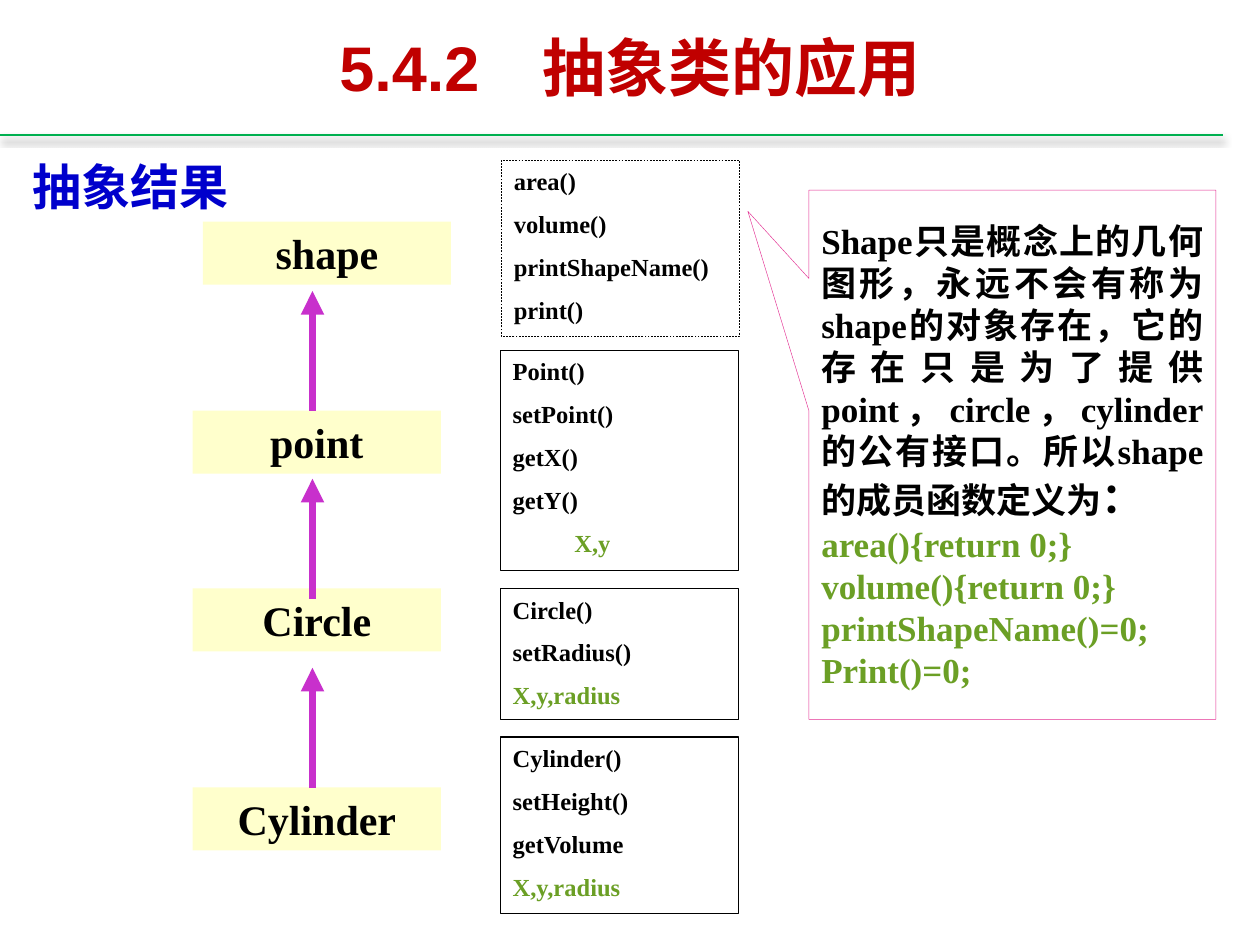
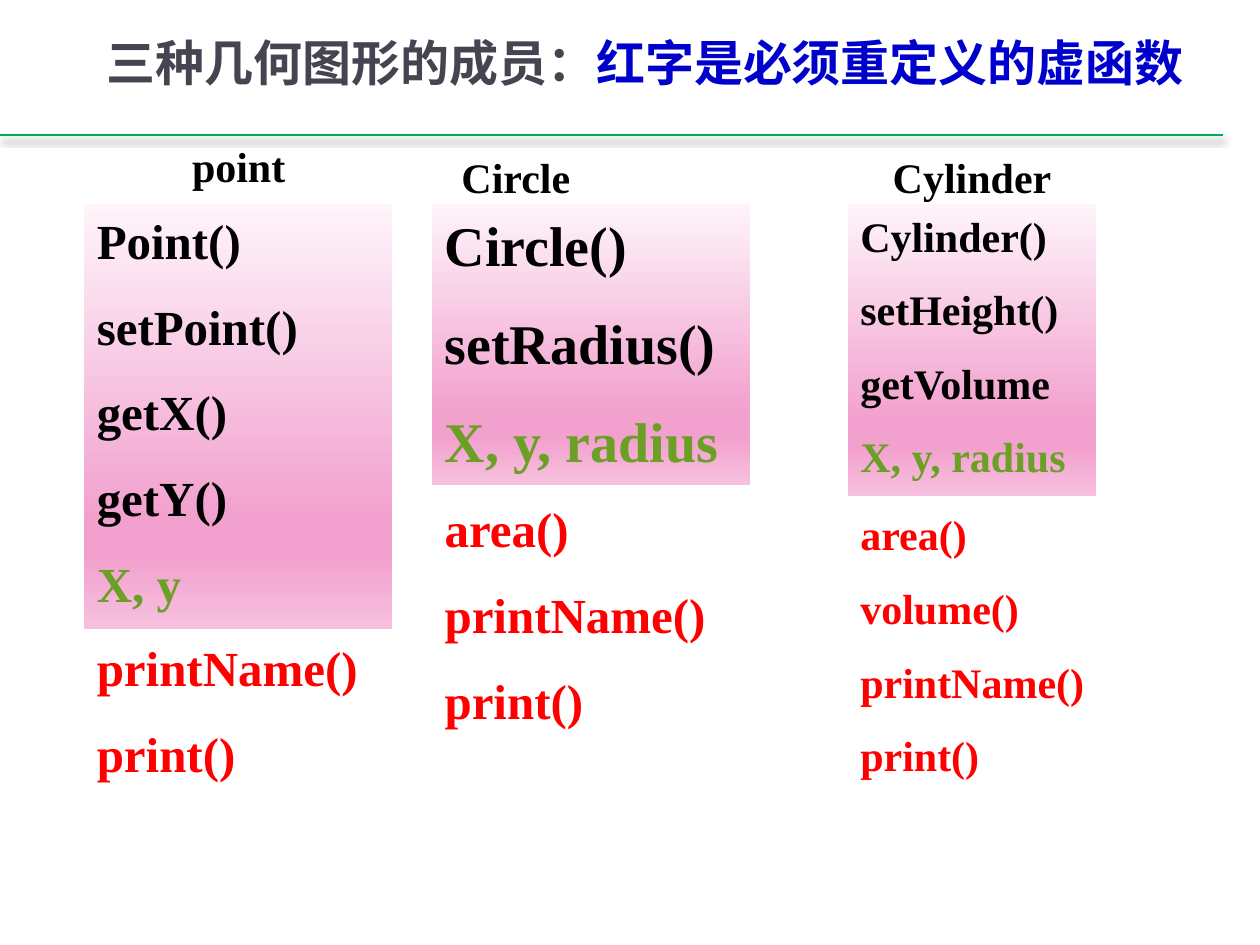
import pptx
import pptx.dml.color
import pptx.enum.dml
import pptx.enum.shapes
import pptx.enum.text
import pptx.oxml
import pptx.oxml.ns
import pptx.util
from pptx.util import Inches

HUES = {
    "black": "000000", "white": "FFFFFF", "red": "FF0000", "title": "C00000",
    "blue": "0000CC", "gray": "454551", "green": "6B9F25", "rule": "00B050",
    "cream": "FFFFCC", "arrow": "C830CC", "pink": "E32D91",
}
BLEND = [(0, "FEF4FA"), (74, "F2A1CE"), (83, "F2A1CE"), (100, "F7C0DE")]
BODY, HEAD = "Times New Roman", "Arial"
KIND = pptx.enum.shapes.MSO_SHAPE
LEFT = pptx.enum.text.PP_ALIGN.LEFT
MID = pptx.enum.text.PP_ALIGN.CENTER
FULL = pptx.enum.text.PP_ALIGN.JUSTIFY
CENTER = pptx.enum.text.MSO_ANCHOR.MIDDLE
TOP = pptx.enum.text.MSO_ANCHOR.TOP


def node(text):
    """Parse a drawing element, adding the namespace."""
    ns = pptx.oxml.ns.nsdecls("a")
    return pptx.oxml.parse_xml(text.replace(">", f" {ns}>", 1))


def rows(hue, *texts):
    """One paragraph per text, each a single run."""
    return [[(text, hue)] for text in texts]


class Deck:
    def __init__(self):
        self.show = pptx.Presentation()
        self.show.slide_width = Inches(10)
        self.show.slide_height = Inches(7.5)
        self.slide = None

    def hue(self, name):
        return pptx.dml.color.RGBColor.from_string(HUES[name])

    def page(self):
        """New slide with the shared rule under the title."""
        self.slide = self.show.slides.add_slide(self.show.slide_layouts[6])
        self.line((0, 1.07), (9.71, 1.07), "rule", 1.25,
                  '<a:effectLst><a:outerShdw blurRad="50800" dist="31750" dir="5400000">'
                  '<a:srgbClr val="000000"><a:alpha val="47000"/></a:srgbClr>'
                  '</a:outerShdw></a:effectLst>')

    def line(self, start, end, hue, width, effect="<a:effectLst></a:effectLst>"):
        item = self.slide.shapes.add_connector(
            pptx.enum.shapes.MSO_CONNECTOR.STRAIGHT,
            *[Inches(v) for v in (*start, *end)])
        item.line.color.rgb = self.hue(hue)
        item.line.width = pptx.util.Pt(width)
        item._element.spPr.append(node(effect))
        return item

    def arrow(self, start, end):
        item = self.line(start, end, "arrow", 4.5)
        edge = item._element.spPr.find(pptx.oxml.ns.qn("a:ln"))
        edge.append(node('<a:tailEnd type="triangle"></a:tailEnd>'))

    def label(self, item, lines, size, font=BODY, align=LEFT, anchor=TOP,
              gap=0, wrap=True):
        frame = item.text_frame
        frame.word_wrap = wrap
        frame.vertical_anchor = anchor
        for i, line in enumerate(lines):
            para = frame.add_paragraph() if i else frame.paragraphs[0]
            para.alignment = align
            para.space_before = pptx.util.Pt(round(gap * size, 1) if i else 0)
            for text, hue, *own in line:
                run = para.add_run()
                run.text = text
                run.font.name = font
                run.font.bold = True
                run.font.size = pptx.util.Pt(own[0] if own else size)
                run.font.color.rgb = self.hue(hue)

    def text(self, at, lines, size, **style):
        item = self.slide.shapes.add_textbox(*[Inches(v) for v in at])
        self.label(item, lines, size, **style)

    def title(self, at, runs, size, align):
        self.text(at, [runs], size, font=HEAD, align=align, anchor=CENTER)

    def box(self, at, lines, size, fill=None, edge=None, width=0.75,
            kind=KIND.RECTANGLE, **style):
        item = self.slide.shapes.add_shape(kind, *[Inches(v) for v in at])
        item.shadow.inherit = False
        if fill == "blend":
            self.blend(item)
        elif fill:
            item.fill.solid()
            item.fill.fore_color.rgb = self.hue(fill)
        else:
            item.fill.background()
        if edge:
            item.line.color.rgb = self.hue(edge)
            item.line.width = pptx.util.Pt(width)
        else:
            item.line.fill.background()
        self.label(item, lines, size, **style)
        return item

    def blend(self, item):
        """Four-stop gradient running from top to bottom."""
        item.fill.gradient()
        item.fill.gradient_angle = 270
        stops = "".join(f'<a:gs pos="{at * 1000}"><a:srgbClr val="{tone}"/></a:gs>'
                        for at, tone in BLEND)
        old = item._element.spPr.find(".//" + pptx.oxml.ns.qn("a:gsLst"))
        old.getparent().replace(old, node(f"<a:gsLst>{stops}</a:gsLst>"))


def result(deck):
    deck.page()
    deck.title((0.5, 0.08, 9, 0.89), [("5.4.2　抽象类的应用", "title")], 36, MID)
    deck.text((0.16, 1.19, 1.77, 0.57), rows("blue", "抽象结果"), 28,
              font=HEAD, wrap=False)

    # Class chain
    for name, left, top in [("shape", 1.61, 1.76), ("point", 1.53, 3.26),
                            ("Circle", 1.53, 4.67), ("Cylinder", 1.53, 6.25)]:
        deck.box((left, top, 1.97, 0.5), rows("black", name), 24,
                 fill="cream", align=MID)
    for foot in (3.26, 4.75, 6.25):
        deck.arrow((2.48, foot), (2.48, foot - 0.95))

    # Members of each class
    base = deck.box((3.98, 1.27, 1.89, 1.4),
                    rows("black", "area()", "volume()", "printShapeName()", "print()"),
                    14, edge="black", width=0.25, gap=0.55)
    base.line.dash_style = pptx.enum.dml.MSO_LINE.DASH
    parts = [
        (2.78, 1.75, ["Point()", "setPoint()", "getX()", "getY()"], "X,y"),
        (4.67, 1.04, ["Circle()", "setRadius()"], "X,y,radius"),
        (5.85, 1.4, ["Cylinder()", "setHeight()", "getVolume"], "X,y,radius"),
    ]
    for top, high, calls, data in parts:
        item = deck.box((3.97, top, 1.89, high),
                        rows("black", *calls) + rows("green", data),
                        14, edge="black", gap=0.55)
        if data == "X,y":
            last = item.text_frame.paragraphs[-1]
            last._p.get_or_add_pPr().set("marL", str(Inches(0.49)))

    # Callout on the base class
    note = [[("Shape只是概念上的几何图形，永远不会有称为shape的对象存在，"
              "它的存在只是为了提供point，circle，cylinder的公有接口。"
              "所以shape的成员函数定义为", "black"), ("：", "black", 24)]]
    note += rows("green", "area(){return 0;}", "volume(){return 0;}",
                 "printShapeName()=0;", "Print()=0;")
    call = deck.box((6.42, 1.51, 3.23, 4.2), note, 20, edge="pink", width=0.25,
                    kind=KIND.RECTANGULAR_CALLOUT, align=FULL, anchor=CENTER)
    call.adjustments[0] = -0.65
    call.adjustments[1] = -0.46


def members(deck):
    deck.page()
    deck.title((0.75, 0, 8.98, 0.99), [("三种几何图形的成员：", "gray"),
                                       ("红字是必须重定义的虚函数", "blue")], 28, LEFT)

    # Each column: name, own members, then functions to redefine
    columns = [
        ("point", (0.91, 1.07), (0.67, 1.62, 2.44, 3.37), 28,
         ["Point()", "setPoint()", "getX()", "getY()"], "X, y",
         (0.67, 5.01, 2.44, 1.27), 28, ["printName()", "print()"]),
        ("Circle", (3.11, 1.15), (3.43, 1.62, 2.52, 2.23), 32,
         ["Circle()", "setRadius()"], "X, y, radius",
         (3.43, 3.91, 2.52, 1.97), 28, ["area()", "printName()", "print()"]),
        ("Cylinder", (6.73, 1.15), (6.73, 1.62, 1.97, 2.32), 24,
         ["Cylinder()", "setHeight()", "getVolume"], "X, y, radius",
         (6.73, 3.99, 2.36, 2.32), 24,
         ["area()", "volume()", "printName()", "print()"]),
    ]
    for name, spot, own, size, calls, data, below, small, fresh in columns:
        deck.box(below, rows("red", *fresh), small, fill="white", gap=0.55)
        deck.text((*spot, 1.97, 0.5), rows("black", name), 24, align=MID)
        deck.box(own, rows("black", *calls) + rows("green", data), size,
                 fill="blend", gap=0.55)


def main():
    deck = Deck()
    result(deck)
    members(deck)
    deck.show.save("out.pptx")


if __name__ == "__main__":
    main()
